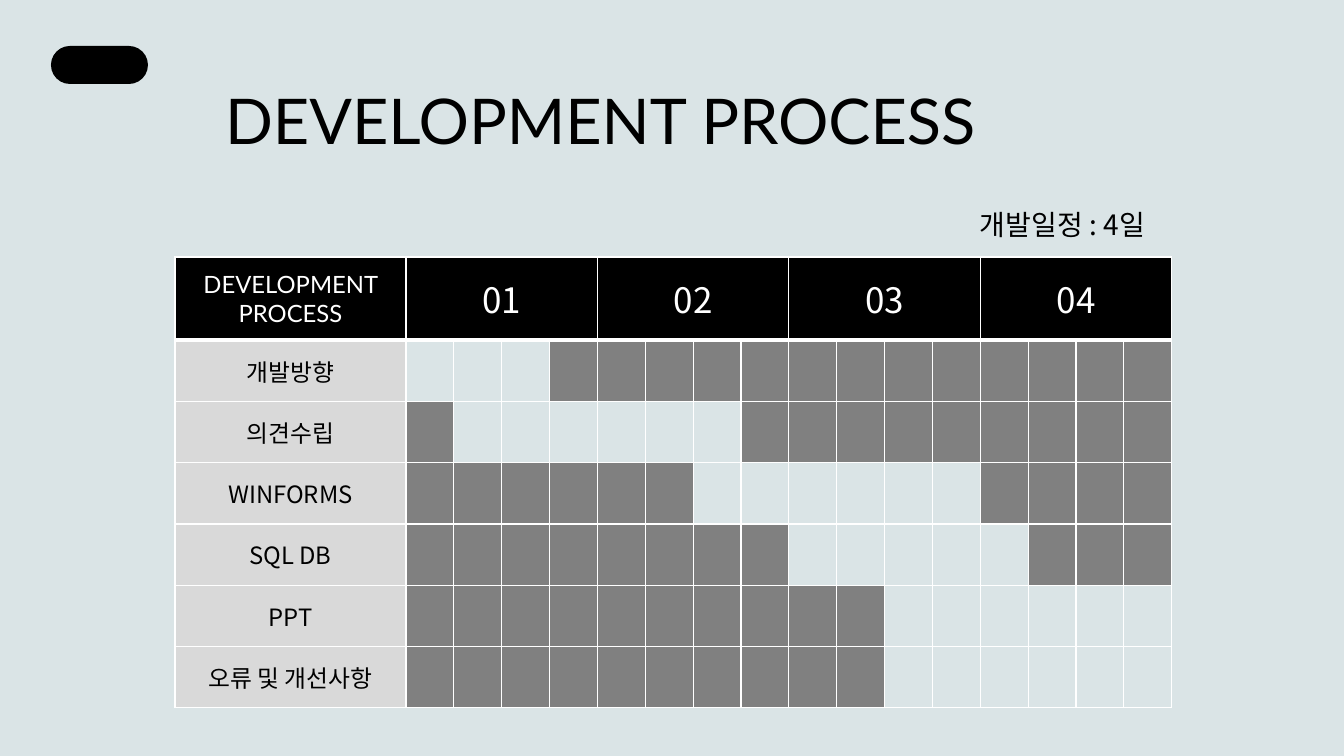
from lxml import etree
from pptx import Presentation
from pptx.dml.color import RGBColor
from pptx.enum.shapes import MSO_SHAPE
from pptx.enum.text import MSO_ANCHOR, PP_ALIGN
from pptx.oxml.ns import qn
from pptx.util import Emu, Pt

ROUNDED = MSO_SHAPE.ROUNDED_RECTANGLE
TOP, MIDDLE = MSO_ANCHOR.TOP, MSO_ANCHOR.MIDDLE
LEFT, CENTER = PP_ALIGN.LEFT, PP_ALIGN.CENTER

SLIDE_W, SLIDE_H = 1344, 756
EMU_PER_PX = 12192000 / SLIDE_W
TITLE_ONLY_LAYOUT = 5

BLACK = RGBColor(0x00, 0x00, 0x00)
WHITE = RGBColor(0xFF, 0xFF, 0xFF)
PALE_BLUE = RGBColor(0xDA, 0xE4, 0xE6)
LIGHT_GRAY = RGBColor(0xD9, 0xD9, 0xD9)
GRAY = RGBColor(0x80, 0x80, 0x80)

LATO = "Lato"
NOTO = "Noto Sans CJK KR"

DAYS = ["01", "02", "03", "04"]
SLOTS_PER_DAY = 4
SLOTS = len(DAYS) * SLOTS_PER_DAY
# Task, first active slot, last active slot
TASKS = [
    ("개발방향", 1, 3),
    ("의견수립", 2, 7),
    ("WINFORMS", 7, 12),
    ("SQL DB", 9, 13),
    ("PPT", 11, 16),
    ("오류 및 개선사항", 11, 16),
]


def px(length):
    return Emu(round(length * EMU_PER_PX))


def place(shape, left, top, width, height):
    shape.left, shape.top = px(left), px(top)
    shape.width, shape.height = px(width), px(height)


def write(frame, text, *, size, font=NOTO, color=BLACK, align=LEFT):
    paragraph = frame.paragraphs[0]
    paragraph.alignment = align
    run = paragraph.add_run()
    run.text = text
    run.font.size = Pt(size)
    run.font.name = font
    run.font.bold = False
    run.font.color.rgb = color
    east_asian = etree.SubElement(run.font._element, qn("a:ea"))
    east_asian.set("typeface", font)


def style_cell(cell, fill, bottom=1):
    """Draw white borders, widths in points, and fill the cell."""
    properties = cell._tc.get_or_add_tcPr()
    for side, width in (("L", 1), ("R", 1), ("T", 1), ("B", bottom)):
        line = etree.SubElement(properties, qn(f"a:ln{side}"), w=str(Pt(width)))
        solid = etree.SubElement(line, qn("a:solidFill"))
        etree.SubElement(solid, qn("a:srgbClr"), val=str(WHITE))
    cell.fill.solid()
    cell.fill.fore_color.rgb = fill


def label_cell(cell, text, **text_format):
    cell.vertical_anchor = MIDDLE
    cell.margin_left = cell.margin_right = px(15)
    cell.margin_top = cell.margin_bottom = px(7)
    write(cell.text_frame, text, align=CENTER, **text_format)


def add_title(slide, text):
    title = slide.shapes.title
    place(title, 215, 76, 974, 163)
    title.text_frame.vertical_anchor = TOP
    title.text_frame.word_wrap = True
    write(title.text_frame, text, size=45, font=LATO)


def add_duration(slide, text):
    box = slide.shapes.add_textbox(px(970), px(203), px(203), px(44))
    box.text_frame.word_wrap = True
    write(box.text_frame, text, size=20)


def add_pill(slide):
    pill = slide.shapes.add_shape(ROUNDED, px(51), px(46), px(97), px(38))
    pill.adjustments[0] = 0.5
    pill.shadow.inherit = False
    pill.fill.solid()
    pill.fill.fore_color.rgb = BLACK
    pill.line.fill.background()


def add_schedule(slide):
    schedule = slide.shapes.add_table(
        len(TASKS) + 1, SLOTS + 1, px(175), px(257), px(997), px(451)
    ).table
    schedule.first_row = False
    schedule.horz_banding = False

    for index, column in enumerate(schedule.columns):
        column.width = px(766 / SLOTS) if index else px(231)
    for index, row in enumerate(schedule.rows):
        row.height = px(368 / len(TASKS)) if index else px(83)

    for column in range(SLOTS + 1):
        style_cell(schedule.cell(0, column), BLACK, bottom=3)
    label_cell(schedule.cell(0, 0), "DEVELOPMENT PROCESS",
               size=17, font=LATO, color=WHITE)
    for index, day in enumerate(DAYS):
        first = 1 + index * SLOTS_PER_DAY
        day_cell = schedule.cell(0, first)
        day_cell.merge(schedule.cell(0, first + SLOTS_PER_DAY - 1))
        label_cell(day_cell, day, size=25, color=WHITE)

    for row, (task, start, end) in enumerate(TASKS, start=1):
        task_cell = schedule.cell(row, 0)
        style_cell(task_cell, LIGHT_GRAY)
        label_cell(task_cell, task, size=17)
        for slot in range(1, SLOTS + 1):
            active = start <= slot <= end
            style_cell(schedule.cell(row, slot), PALE_BLUE if active else GRAY)


def main():
    presentation = Presentation()
    presentation.slide_width = px(SLIDE_W)
    presentation.slide_height = px(SLIDE_H)
    layout = presentation.slide_layouts[TITLE_ONLY_LAYOUT]
    slide = presentation.slides.add_slide(layout)
    slide.background.fill.solid()
    slide.background.fill.fore_color.rgb = PALE_BLUE

    add_schedule(slide)
    add_title(slide, "DEVELOPMENT PROCESS")
    add_duration(slide, "개발일정 : 4일")
    add_pill(slide)
    presentation.save("out.pptx")


if __name__ == "__main__":
    main()
